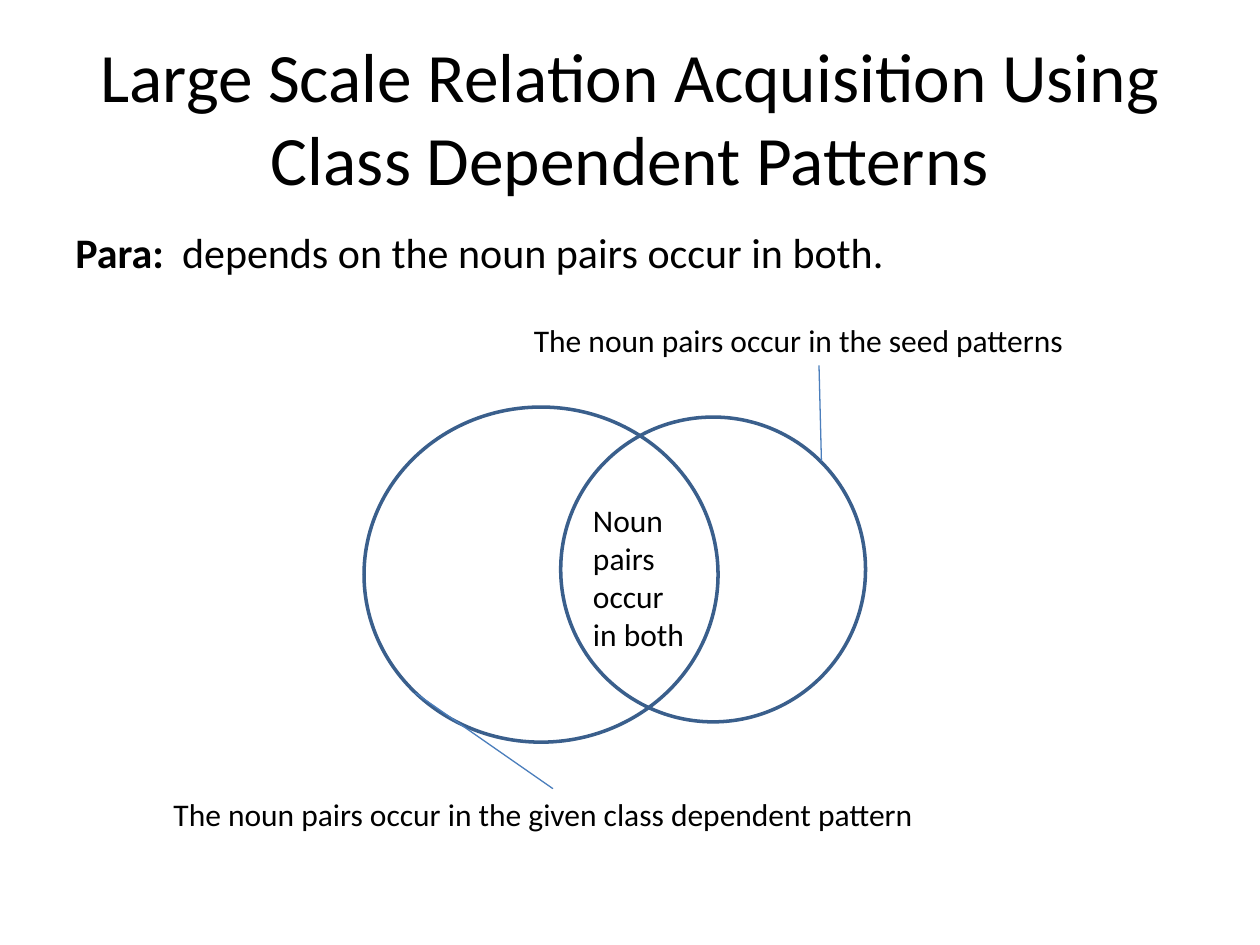
from dataclasses import dataclass

from lxml import etree
from pptx import Presentation
from pptx.dml.color import RGBColor
from pptx.enum.shapes import MSO_CONNECTOR, MSO_SHAPE
from pptx.enum.text import MSO_ANCHOR, MSO_AUTO_SIZE, PP_ALIGN
from pptx.oxml.ns import qn
from pptx.util import Pt

ELLIPSE = MSO_SHAPE.OVAL
STRAIGHT = MSO_CONNECTOR.STRAIGHT
MIDDLE = MSO_ANCHOR.MIDDLE
NO_AUTOFIT = MSO_AUTO_SIZE.NONE
CENTER = PP_ALIGN.CENTER
TITLE_ONLY = 5


@dataclass(frozen=True)
class Theme:
    font: str = "Calibri"
    text: RGBColor = RGBColor(0x00, 0x00, 0x00)
    outline: RGBColor = RGBColor(0x3A, 0x5F, 0x8C)
    leader: RGBColor = RGBColor(0x4B, 0x7E, 0xBC)
    title_size: float = 39.6
    body_size: float = 24
    label_size: float = 18
    outline_width: float = 2
    leader_width: float = 0.75


THEME = Theme()


def style_font(paragraph, size):
    font = paragraph.font
    font.name = THEME.font
    font.size = Pt(size)
    font.color.rgb = THEME.text


def place_title(slide, box, text):
    title = slide.shapes.title
    title.left, title.top, title.width, title.height = map(Pt, box)
    frame = title.text_frame
    frame.text = text
    frame.auto_size = NO_AUTOFIT
    frame.vertical_anchor = MIDDLE
    frame.paragraphs[0].alignment = CENTER
    style_font(frame.paragraphs[0], THEME.title_size)


def add_definition(slide, box, term, meaning, tab_position):
    """Add a bold term, with its meaning set at a tab stop."""
    frame = slide.shapes.add_textbox(*map(Pt, box)).text_frame
    frame.word_wrap = True
    paragraph = frame.paragraphs[0]
    tabs = etree.SubElement(paragraph._p.get_or_add_pPr(), qn("a:tabLst"))
    etree.SubElement(tabs, qn("a:tab"), pos=str(Pt(tab_position)), algn="l")
    style_font(paragraph, THEME.body_size)
    term_run = paragraph.add_run()
    term_run.text = term
    term_run.font.bold = True
    paragraph.add_run().text = "\t" + meaning


def add_label(slide, box, text, wrap=False):
    frame = slide.shapes.add_textbox(*map(Pt, box)).text_frame
    frame.word_wrap = wrap
    frame.text = text
    style_font(frame.paragraphs[0], THEME.label_size)


def add_set(slide, box):
    circle = slide.shapes.add_shape(ELLIPSE, *map(Pt, box))
    circle.shadow.inherit = False
    circle.fill.background()
    circle.line.color.rgb = THEME.outline
    circle.line.width = Pt(THEME.outline_width)


def add_leader(slide, start, end):
    leader = slide.shapes.add_connector(STRAIGHT, *map(Pt, start + end))
    leader.line.color.rgb = THEME.leader
    leader.line.width = Pt(THEME.leader_width)
    etree.SubElement(leader._element.spPr, qn("a:effectLst"))


def add_venn(slide, box):
    """Draw two overlapping sets with a label for each and for their overlap."""
    left, top, width, height = box
    label_height = 28.8

    def at(x, y, *size):
        return (left + x, top + y, *size)

    class_label_top = height - label_height
    seed_label_width = 340.6
    add_set(slide, at(116, 52.6, 202.3, 191.5))
    add_set(slide, at(228.4, 58.3, 174.2, 174.2))
    add_label(slide, at(0, class_label_top, 447, label_height),
              "The noun pairs occur in the given class dependent pattern")
    add_label(slide, at(width - seed_label_width, 0, seed_label_width, label_height),
              "The noun pairs occur in the seed patterns")
    add_leader(slide, at(224, class_label_top), at(145.4, 216))
    add_leader(slide, at(376, label_height), at(377.4, 83.5))
    add_label(slide, at(239.8, 103, 67.7, 94.3), "Noun pairs occur in both", wrap=True)


def main():
    deck = Presentation()
    deck.slide_width, deck.slide_height = Pt(720), Pt(540)
    slide = deck.slides.add_slide(deck.slide_layouts[TITLE_ONLY])
    place_title(slide, (36, 21.6, 648, 90),
                "Large Scale Relation Acquisition Using Class Dependent Patterns")
    add_definition(slide, (36, 126, 648, 356.4), "Para:",
                   "depends on the noun pairs occur in both.", tab_position=61)
    add_venn(slide, (92, 180, 546.6, 299.5))
    deck.save("out.pptx")


if __name__ == "__main__":
    main()
